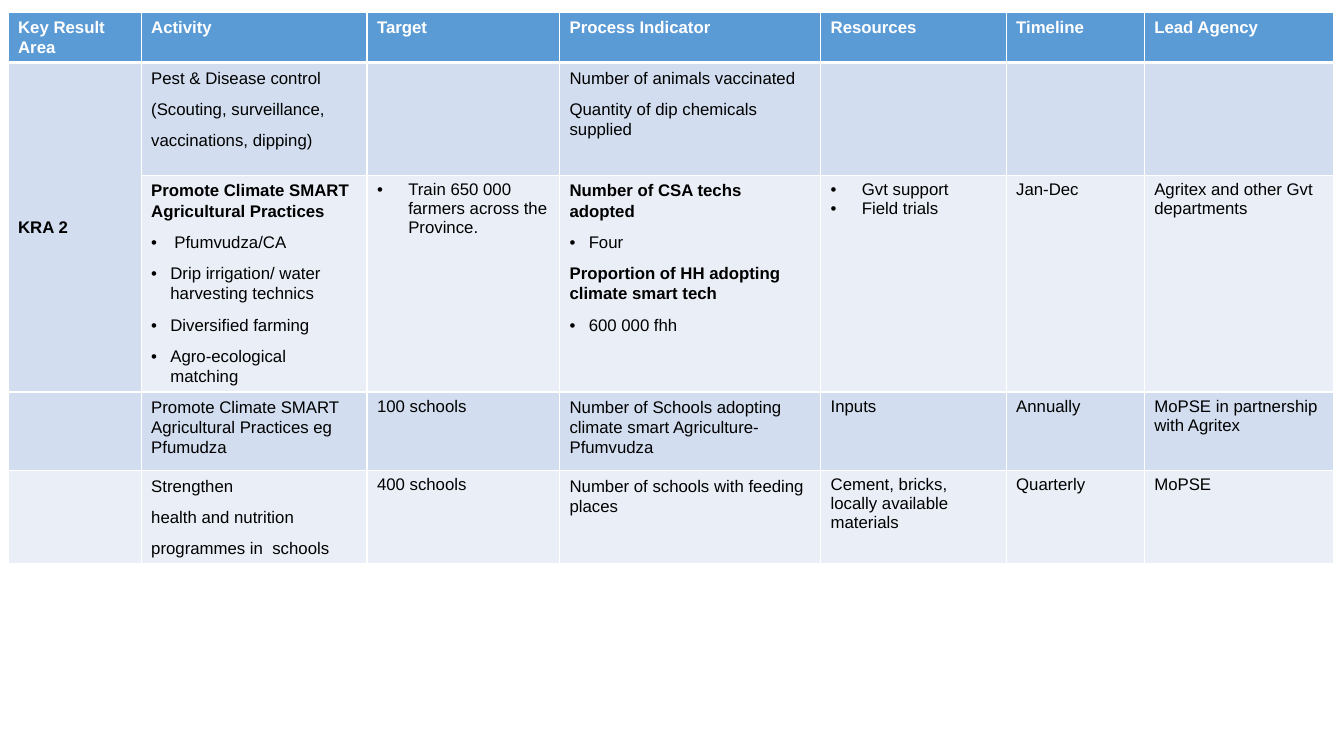
from lxml import etree
from pptx import Presentation, util as u
from pptx.dml.color import RGBColor
from pptx.enum import text as t
from pptx.oxml import ns

WHITE = RGBColor(0xFF, 0xFF, 0xFF)
BLACK = RGBColor(0, 0, 0)
HEADER_BLUE = RGBColor(0x5B, 0x9B, 0xD5)
BANDS = (RGBColor(0xD2, 0xDE, 0xEF), RGBColor(0xEA, 0xEF, 0xF7))

COLUMN_WIDTHS = (1.32, 2.24, 1.91, 2.59, 1.84, 1.37, 1.88)
ROW_HEIGHTS = (0.49, 1.12, 2.15, 0.78, 0.92)
SPACED_COLUMNS = (1, 3)
HEADINGS = ("Key Result Area", "Activity", "Target", "Process Indicator",
            "Resources", "Timeline", "Lead Agency")


def entry(text, bold=False, bullet=False, gap=0):
    return {"text": text, "bold": bold, "bullet": bullet, "gap": gap}


def plain(*lines):
    return [entry(line) for line in lines]


def bullets(*lines):
    return [entry(line, bullet=True) for line in lines]


def strong(line):
    return [entry(line, bold=True)]


BODY = (
    (strong("KRA 2"),
     plain("Pest & Disease control", "(Scouting, surveillance,", "vaccinations, dipping)"),
     [],
     plain("Number of animals vaccinated", "Quantity of dip chemicals supplied"),
     [], [], []),
    ([],
     strong("Promote Climate SMART Agricultural Practices")
     + [entry("Pfumvudza/CA", bullet=True, gap=0.04)]
     + bullets("Drip irrigation/ water harvesting technics",
               "Diversified farming", "Agro-ecological matching"),
     bullets("Train 650 000 farmers across the Province."),
     strong("Number of CSA techs adopted") + bullets("Four")
     + strong("Proportion of HH adopting climate smart tech") + bullets("600 000 fhh"),
     bullets("Gvt support", "Field trials"),
     plain("Jan-Dec"),
     plain("Agritex and other Gvt departments")),
    ([],
     plain("Promote Climate SMART Agricultural Practices eg Pfumudza"),
     plain("100 schools"),
     plain("Number of Schools adopting climate smart Agriculture-Pfumvudza"),
     plain("Inputs"),
     plain("Annually"),
     plain("MoPSE in partnership with Agritex")),
    ([],
     plain("Strengthen", "health and nutrition", "programmes in  schools"),
     plain("400 schools"),
     plain("Number of schools with feeding places"),
     plain("Cement, bricks, locally available materials"),
     plain("Quarterly"),
     plain("MoPSE")),
)


def add_bullet(paragraph, indent, gap):
    properties = paragraph._p.get_or_add_pPr()
    properties.set("marL", str(u.Inches(indent + gap)))
    properties.set("indent", str(-u.Inches(indent + gap)))
    font = etree.SubElement(properties, ns.qn("a:buFont"))
    font.set("typeface", "Arial")
    etree.SubElement(properties, ns.qn("a:buChar")).set("char", "•")


def write_paragraph(paragraph, text, bold=False, bullet=False, gap=0, spaced=False, color=BLACK):
    if bullet:
        add_bullet(paragraph, 0.19 if spaced else 0.31, gap)
    if spaced:
        paragraph.line_spacing = 1.07
        paragraph.space_after = u.Pt(8)
    run = paragraph.add_run()
    run.text = text
    run.font.name = "Arial"
    run.font.size = u.Pt(12)
    run.font.bold = bold
    run.font.color.rgb = color


def set_borders(cell, top=1, bottom=1):
    properties = cell._tc.get_or_add_tcPr()
    for side, width in (("L", 1), ("R", 1), ("T", top), ("B", bottom)):
        line = etree.SubElement(properties, ns.qn(f"a:ln{side}"))
        line.set("w", str(u.Pt(width)))
        fill = etree.SubElement(line, ns.qn("a:solidFill"))
        etree.SubElement(fill, ns.qn("a:srgbClr")).set("val", str(WHITE))


def fill_cell(cell, entries, background, top=1, bottom=1, **style):
    set_borders(cell, top, bottom)
    cell.fill.solid()
    cell.fill.fore_color.rgb = background
    frame = cell.text_frame
    for index, item in enumerate(entries):
        paragraph = frame.add_paragraph() if index else frame.paragraphs[0]
        write_paragraph(paragraph, **item, **style)


def add_plan_table(slide):
    shape = slide.shapes.add_table(
        len(ROW_HEIGHTS), len(COLUMN_WIDTHS), u.Inches(0.08), u.Inches(0.12),
        u.Inches(sum(COLUMN_WIDTHS)), u.Inches(sum(ROW_HEIGHTS)))
    table = shape.table
    for column, width in zip(table.columns, COLUMN_WIDTHS):
        column.width = u.Inches(width)
    for row, height in zip(table.rows, ROW_HEIGHTS):
        row.height = u.Inches(height)
    for column, heading in enumerate(HEADINGS):
        fill_cell(table.cell(0, column), strong(heading), HEADER_BLUE,
                  bottom=3, spaced=True, color=WHITE)
    for row, cells in enumerate(BODY, start=1):
        for column, entries in enumerate(cells):
            fill_cell(table.cell(row, column), entries, BANDS[(row - 1) % 2],
                      top=3 if row == 1 else 1, spaced=column in SPACED_COLUMNS)
    result_area = table.cell(1, 0)
    result_area.merge(table.cell(2, 0))
    result_area.vertical_anchor = t.MSO_ANCHOR.MIDDLE


def main():
    presentation = Presentation()
    presentation.slide_width = u.Inches(13.33)
    presentation.slide_height = u.Inches(7.5)
    slide = presentation.slides.add_slide(presentation.slide_layouts[6])
    add_plan_table(slide)
    presentation.save("out.pptx")


if __name__ == "__main__":
    main()
